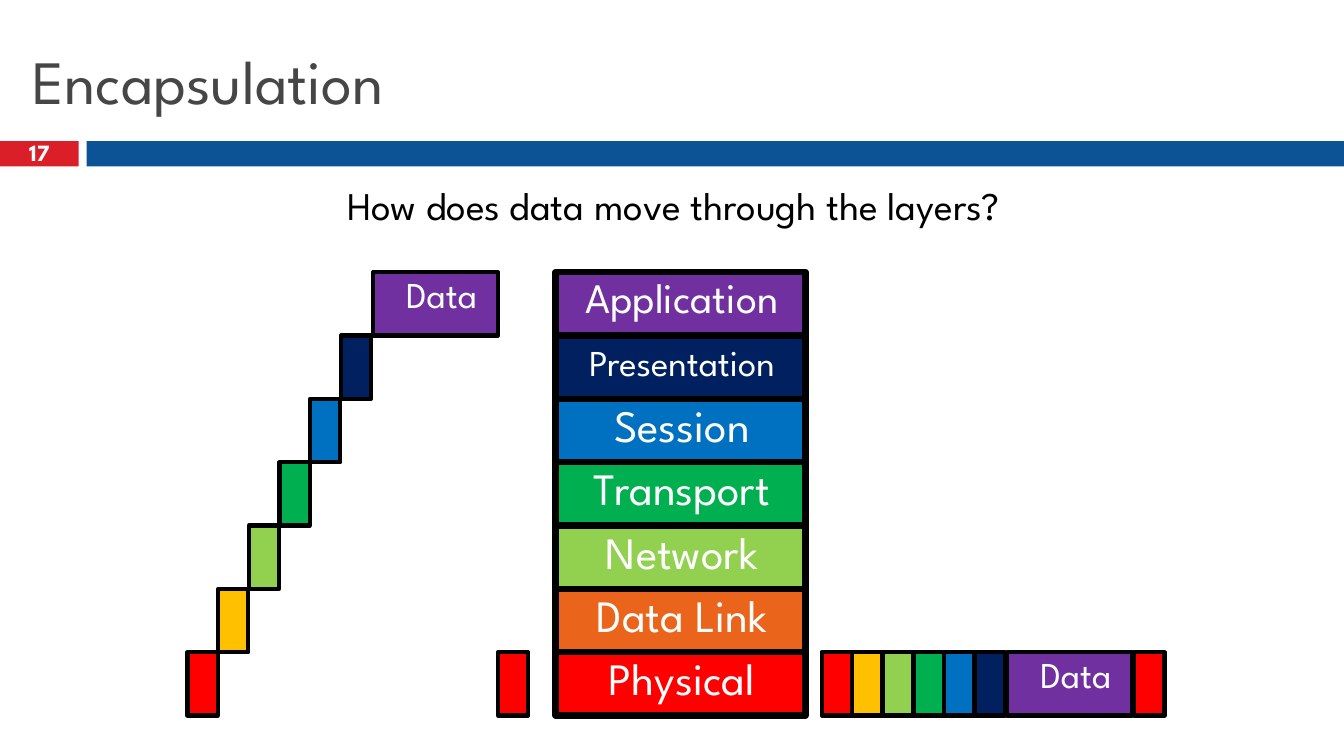
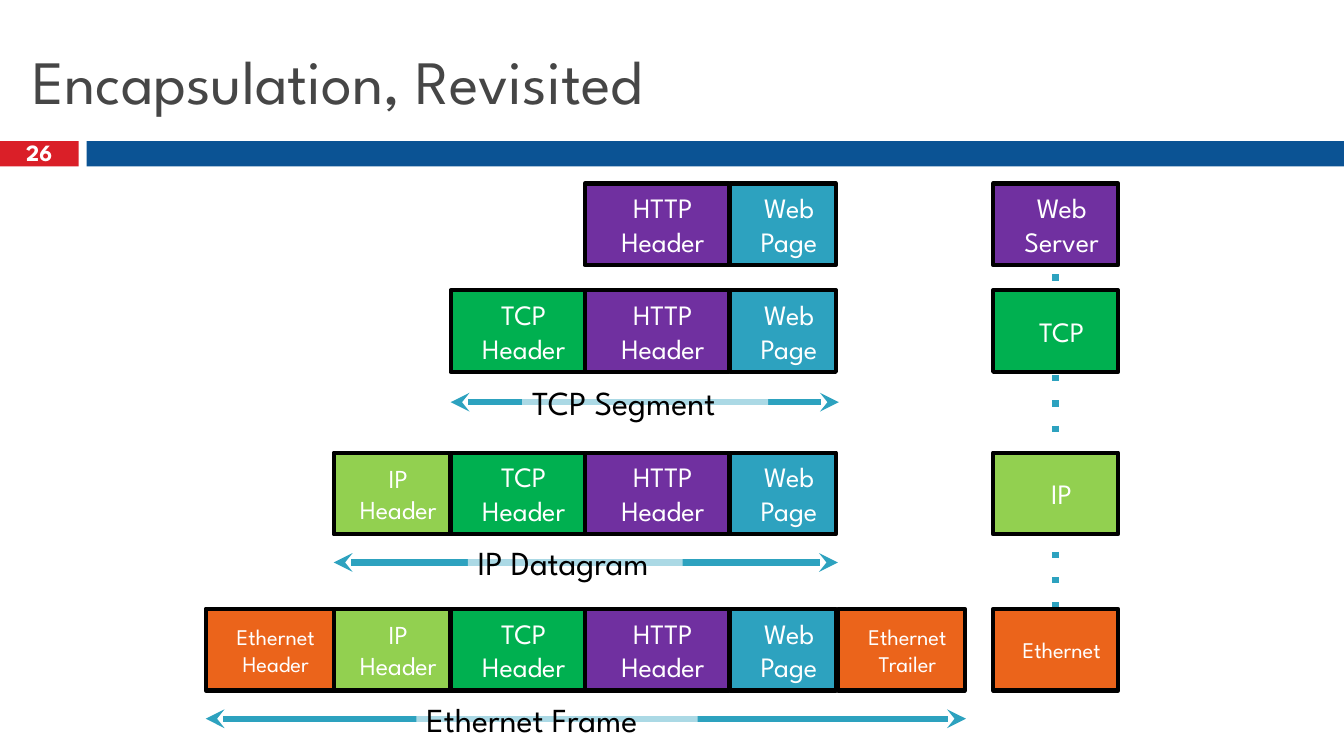
import pptx
import pptx.util
import pptx.dml.color
import pptx.enum.shapes
import pptx.enum.text
import pptx.oxml
import pptx.oxml.ns

Inches = pptx.util.Inches
Pt = pptx.util.Pt
ALIGN = pptx.enum.text.PP_ALIGN
ANCHOR = pptx.enum.text.MSO_ANCHOR

# Shared look
FONT = "League Spartan"
BLACK, WHITE = "000000", "FFFFFF"
TITLE_GREY, BAND_RED, BAND_BLUE = "464646", "DA1F28", "0B5394"
PURPLE, NAVY, BLUE, GREEN = "7030A0", "002060", "0070C0", "00B050"
LIME, ORANGE, AMBER, RED, TEAL = "92D050", "EB641B", "FFC000", "FF0000", "2DA2BF"
INDENT = 0.12

# Slide 1 content: layer, layer colour, header colour, text size, line spacing
QUESTION = "How does data move through the layers?"
LAYERS = [
    ("Application", PURPLE, PURPLE, 30, 0.9),
    ("Presentation", NAVY, NAVY, 26, 1),
    ("Session", BLUE, BLUE, 32, 0.9),
    ("Transport", GREEN, GREEN, 32, 0.9),
    ("Network", LIME, LIME, 32, 0.9),
    ("Data Link", ORANGE, AMBER, 32, 0.9),
    ("Physical", RED, RED, 32, 0.9),
]
STACK_TOP, STACK_BOTTOM, LAYER_HEIGHT = 2.7, 6.47, 0.63
DATA_WIDTH, HEADER_WIDTH, HEADER_STEP = 1.24, 0.3, 0.304

# Slide 2 content: part -> left, width, colour, text size
PARTS = {
    "Ethernet Header": (2.04, 1.27, ORANGE, 16),
    "IP Header": (3.31, 1.16, LIME, 18.5),
    "TCP Header": (4.47, 1.33, GREEN, 20),
    "HTTP Header": (5.8, 1.43, PURPLE, 20),
    "Web Page": (7.24, 1.05, TEAL, 20),
    "Ethernet Trailer": (8.31, 1.26, ORANGE, 16),
}
# Top, protocol, colour, text size, names of the parts in the packet
ROWS = [
    (1.82, "Web Server", PURPLE, 20, list(PARTS)[3:5]),
    (2.88, "TCP", GREEN, 20, list(PARTS)[2:5]),
    (4.49, "IP", LIME, 20, list(PARTS)[1:5]),
    (6.04, "Ethernet", ORANGE, 16, list(PARTS)),
]
# Label, line height, line start, line end, label left, label width
SPANS = [
    ("TCP Segment", 3.99, 4.47, 8.32, 5.18, 2.44),
    ("IP Datagram", 5.58, 3.31, 8.31, 4.64, 2.13),
    ("Ethernet Frame", 7.13, 2.04, 9.58, 4.13, 2.79),
]
PACKET_HEIGHT, PROTOCOL_LEFT, PROTOCOL_WIDTH = 0.81, 9.85, 1.24


def color(value):
    return pptx.dml.color.RGBColor.from_string(value)


def write(shape, text, size, ink, align=ALIGN.CENTER, anchor=ANCHOR.TOP,
          spacing=1, indent=0, bold=False):
    frame = shape.text_frame
    frame.text = text
    frame.word_wrap = True
    frame.auto_size = pptx.enum.text.MSO_AUTO_SIZE.NONE
    frame.vertical_anchor = anchor
    paragraph = frame.paragraphs[0]
    paragraph.alignment = align
    paragraph.line_spacing = spacing
    if indent:
        properties = paragraph._p.get_or_add_pPr()
        properties.set("marL", str(Inches(indent)))
        properties.set("indent", "0")
    font = paragraph.runs[0].font
    font.name, font.size, font.bold = FONT, Pt(size), bold
    font.color.rgb = color(ink)


def add_box(slide, left, top, width, height, fill, border=0):
    shape = slide.shapes.add_shape(
        pptx.enum.shapes.MSO_SHAPE.RECTANGLE,
        Inches(left), Inches(top), Inches(width), Inches(height))
    shape.shadow.inherit = False
    shape.fill.solid()
    shape.fill.fore_color.rgb = color(fill)
    if border:
        shape.line.color.rgb = color(BLACK)
        shape.line.width = Pt(border)
    else:
        shape.line.fill.background()
    return shape


def add_text(slide, left, top, width, height, *args, **options):
    box = slide.shapes.add_textbox(
        Inches(left), Inches(top), Inches(width), Inches(height))
    write(box, *args, **options)


def add_line(slide, start, end, **ends):
    """Teal line; each keyword is a line element tag and its value."""
    line = slide.shapes.add_connector(
        pptx.enum.shapes.MSO_CONNECTOR.STRAIGHT,
        *(Inches(value) for value in start + end))
    line.line.color.rgb = color(TEAL)
    line.line.width = Pt(4.5)
    namespace = pptx.oxml.ns.nsdecls("a")
    outline = line.line._get_or_add_ln()
    for tag, value in ends.items():
        attribute = "val" if tag == "prstDash" else "type"
        outline.append(pptx.oxml.parse_xml(
            f'<a:{tag} {namespace} {attribute}="{value}"/>'))
    line._element.spPr.append(
        pptx.oxml.parse_xml(f"<a:effectLst {namespace}/>"))


def start_slide(presentation, title, number):
    slide = presentation.slides.add_slide(presentation.slide_layouts[5])
    add_box(slide, 0, 1.4, 0.78, 0.25, BAND_RED)
    add_box(slide, 0.86, 1.4, 12.47, 0.25, BAND_BLUE)
    heading = slide.shapes.title
    heading.left, heading.top = Inches(0.22), Inches(0.25)
    heading.width, heading.height = Inches(12.89), Inches(1.08)
    write(heading, title, 44, TITLE_GREY, ALIGN.LEFT, ANCHOR.MIDDLE)
    add_text(slide, 0, 1.37, 0.78, 0.33, number, 16.6, WHITE,
             anchor=ANCHOR.MIDDLE, spacing=0.8, bold=True)
    return slide


def build_layers(presentation):
    slide = start_slide(presentation, "Encapsulation", "17")
    add_text(slide, 1.86, 1.75, 9.64, 0.65, QUESTION, 28, BLACK)
    pitch = (STACK_BOTTOM - STACK_TOP) / (len(LAYERS) - 1)

    # Layer stack
    for index, (name, fill, _, size, spacing) in enumerate(LAYERS):
        layer = add_box(slide, 5.51, STACK_TOP + index * pitch, 2.48,
                        LAYER_HEIGHT, fill, 4.5)
        write(layer, name, size, WHITE, spacing=spacing, indent=0.03)

    # Headers descend on the left and sit in one row on the right
    for data_left, step_down in ((3.7, pitch), (9.99, 0)):
        top = STACK_BOTTOM - step_down * (len(LAYERS) - 1)
        data = add_box(slide, data_left, top, DATA_WIDTH, LAYER_HEIGHT, PURPLE, 3)
        write(data, "Data", 26, WHITE, spacing=0.9, indent=INDENT)
        for index, layer in enumerate(LAYERS[1:], 1):
            left = data_left - 0.32 - (index - 1) * HEADER_STEP
            add_box(slide, left, top + index * step_down, HEADER_WIDTH,
                    LAYER_HEIGHT, layer[2], 3)

    # Physical trailers
    for left in (4.94, 11.25):
        add_box(slide, left, STACK_BOTTOM, HEADER_WIDTH, LAYER_HEIGHT, RED, 3)


def build_packets(presentation):
    slide = start_slide(presentation, "Encapsulation, Revisited", "26")

    # Dotted line behind the protocol column
    add_line(slide, (10.47, 2.22), (10.47, 6.44), prstDash="dot")

    # Protocols and packets
    for top, protocol, fill, size, names in ROWS:
        cells = [(protocol, PROTOCOL_LEFT, PROTOCOL_WIDTH, fill, size)]
        cells += [(name, *PARTS[name]) for name in names]
        for text, left, width, cell_fill, text_size in cells:
            cell = add_box(slide, left, top, width, PACKET_HEIGHT, cell_fill, 3)
            write(cell, text, text_size, WHITE, anchor=ANCHOR.MIDDLE, indent=INDENT)

    # Span arrows with translucent labels
    for text, middle, start, end, left, width in SPANS:
        add_line(slide, (start, middle), (end, middle),
                 headEnd="stealth", tailEnd="stealth")
        label = add_box(slide, left, middle - 0.25, width, 0.5, WHITE)
        label.fill._xPr.solidFill[0].append(pptx.oxml.parse_xml(
            f'<a:alpha {pptx.oxml.ns.nsdecls("a")} val="60000"/>'))
        write(label, text, 24, BLACK, ALIGN.LEFT)


def main():
    presentation = pptx.Presentation()
    presentation.slide_width = Inches(13.33)
    presentation.slide_height = Inches(7.5)
    build_layers(presentation)
    build_packets(presentation)
    presentation.save("out.pptx")


if __name__ == "__main__":
    main()
